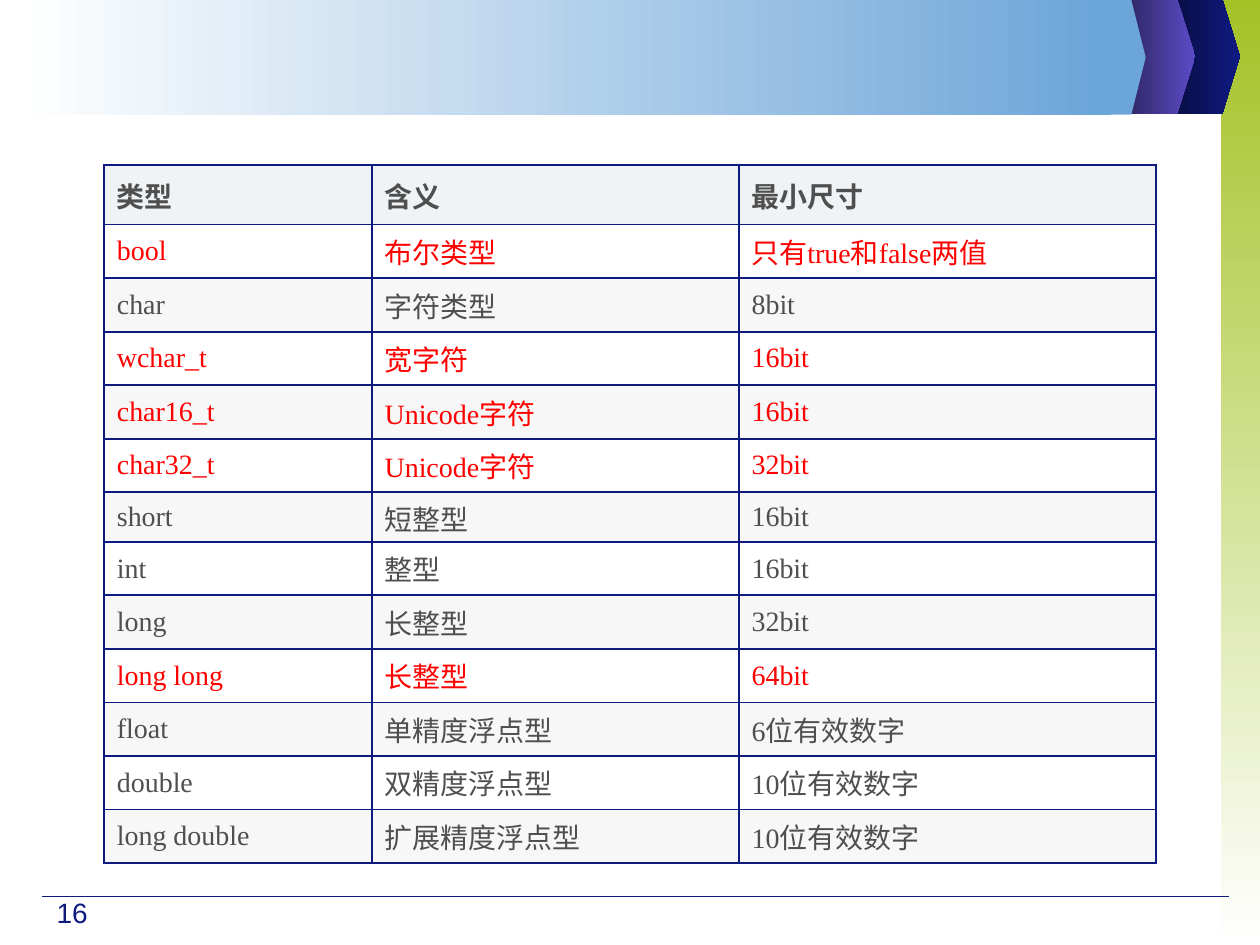
from lxml import etree
from pptx import Presentation
from pptx import util as u
from pptx.dml.color import RGBColor
from pptx.enum import shapes, text
from pptx.oxml.ns import qn

Pt = u.Pt
NAVY, GREY, RED, WHITE, SKY = "0F1A81", "4F4F4F", "FF0000", "FFFFFF", "6CA5D8"
HEAD, BAND = "EFF3F5", "F7F7F7"

TYPES = [
    ("类型", "含义", "最小尺寸"),
    ("bool", "布尔类型", "只有true和false两值"),
    ("char", "字符类型", "8bit"),
    ("wchar_t", "宽字符", "16bit"),
    ("char16_t", "Unicode字符", "16bit"),
    ("char32_t", "Unicode字符", "32bit"),
    ("short", "短整型", "16bit"),
    ("int", "整型", "16bit"),
    ("long", "长整型", "32bit"),
    ("long long", "长整型", "64bit"),
    ("float", "单精度浮点型", "6位有效数字"),
    ("double", "双精度浮点型", "10位有效数字"),
    ("long double", "扩展精度浮点型", "10位有效数字"),
]
MARKED = {"bool", "wchar_t", "char16_t", "char32_t", "long long"}
WIDTHS = (153, 209.7, 238.5)
TALL = {"类型": 34, "short": 28.3}
ROW = 30.6

# left, top, width, height, colours, clockwise angle
BARS = {
    "side": (697.7, 0, 22.3, 540, ("A4C226", WHITE), 90),
    "top": (9, 0, 626, 65.5, (WHITE, SKY), 0),
}
# left, shoulder, tip, top, bottom, colours
ARROWS = {
    "navy": (666, 698.5, 708.5, -0.5, 65, ("070C3C", NAVY)),
    "violet": (640.5, 672.7, 683, -0.5, 65, ("2B235C", "5D4BC7")),
    "sky": (621.5, 646.5, 654.7, 0, 65.5, (SKY,)),
}


def rgb(code):
    return RGBColor.from_string(code)


def paint(shape, hues, angle=0):
    """Fill with one colour, or with a gradient at a clockwise angle."""
    shape.shadow.inherit = False
    shape.line.fill.background()
    if len(hues) == 1:
        shape.fill.solid()
        shape.fill.fore_color.rgb = rgb(hues[0])
        return
    shape.fill.gradient()
    shape.fill.gradient_angle = -angle % 360
    for stop, hue in zip(shape.fill.gradient_stops, hues):
        stop.color.rgb = rgb(hue)


def bar(slide, name):
    *box, hues, angle = BARS[name]
    rect = slide.shapes.add_shape(shapes.MSO_SHAPE.RECTANGLE, *map(Pt, box))
    paint(rect, hues, angle)


def arrow(slide, name):
    left, edge, tip, top, base, hues = ARROWS[name]
    dots = [(edge, top), (tip, (top + base) / 2), (edge, base), (left, base)]
    form = slide.shapes.build_freeform(Pt(left), Pt(top))
    form.add_line_segments([(Pt(x), Pt(y)) for x, y in dots], close=True)
    paint(form.convert_to_shape(), hues)


def write(frame, words, face, **style):
    para = frame.paragraphs[0]
    run = para.add_run()
    run.text = words
    hue = style.pop("hue")
    for key, value in {"name": face, "size": Pt(16), **style}.items():
        setattr(run.font, key, value)
    run.font.color.rgb = rgb(hue)


def border(cell):
    props = cell._tc.get_or_add_tcPr()
    for spot, side in enumerate(("lnL", "lnR", "lnT", "lnB")):
        line = etree.Element(qn("a:" + side), w=str(Pt(1.08)))
        fill = etree.SubElement(line, qn("a:solidFill"))
        etree.SubElement(fill, qn("a:srgbClr"), val=NAVY)
        props.insert(spot, line)


def table(slide):
    highs = [TALL.get(row[0], ROW) for row in TYPES]
    grid = slide.shapes.add_table(
        len(TYPES), len(WIDTHS), Pt(59.6), Pt(94.4),
        Pt(sum(WIDTHS)), Pt(sum(highs))).table
    for col, wide in zip(grid.columns, WIDTHS):
        col.width = Pt(wide)
    for r, (row, high) in enumerate(zip(TYPES, highs)):
        grid.rows[r].height = Pt(high)
        back = HEAD if r == 0 else WHITE if r % 2 else BAND
        hue = RED if row[0] in MARKED else GREY
        for c, words in enumerate(row):
            cell = grid.cell(r, c)
            cell.vertical_anchor = text.MSO_ANCHOR.MIDDLE
            cell.fill.solid()
            cell.fill.fore_color.rgb = rgb(back)
            border(cell)
            write(cell.text_frame, words, "Times New Roman",
                  bold=r == 0, hue=hue)


def footer(slide):
    rule = slide.shapes.add_connector(
        shapes.MSO_CONNECTOR.STRAIGHT, Pt(24), Pt(512.5), Pt(702), Pt(512.5))
    rule.line.color.rgb = rgb(NAVY)
    rule.line.width = Pt(0.75)
    etree.SubElement(rule._element.spPr, qn("a:effectLst"))
    box = slide.shapes.add_textbox(Pt(25.3), Pt(508.3), Pt(39.6), Pt(26.6))
    box.text_frame.word_wrap = True
    write(box.text_frame, "16", "Arial", hue=NAVY)


def main():
    deck = Presentation()
    deck.slide_width, deck.slide_height = Pt(720), Pt(540)
    slide = deck.slides.add_slide(deck.slide_layouts[6])
    bar(slide, "side")
    arrow(slide, "navy")
    arrow(slide, "violet")
    bar(slide, "top")
    arrow(slide, "sky")
    footer(slide)
    table(slide)
    deck.save("out.pptx")


if __name__ == "__main__":
    main()
